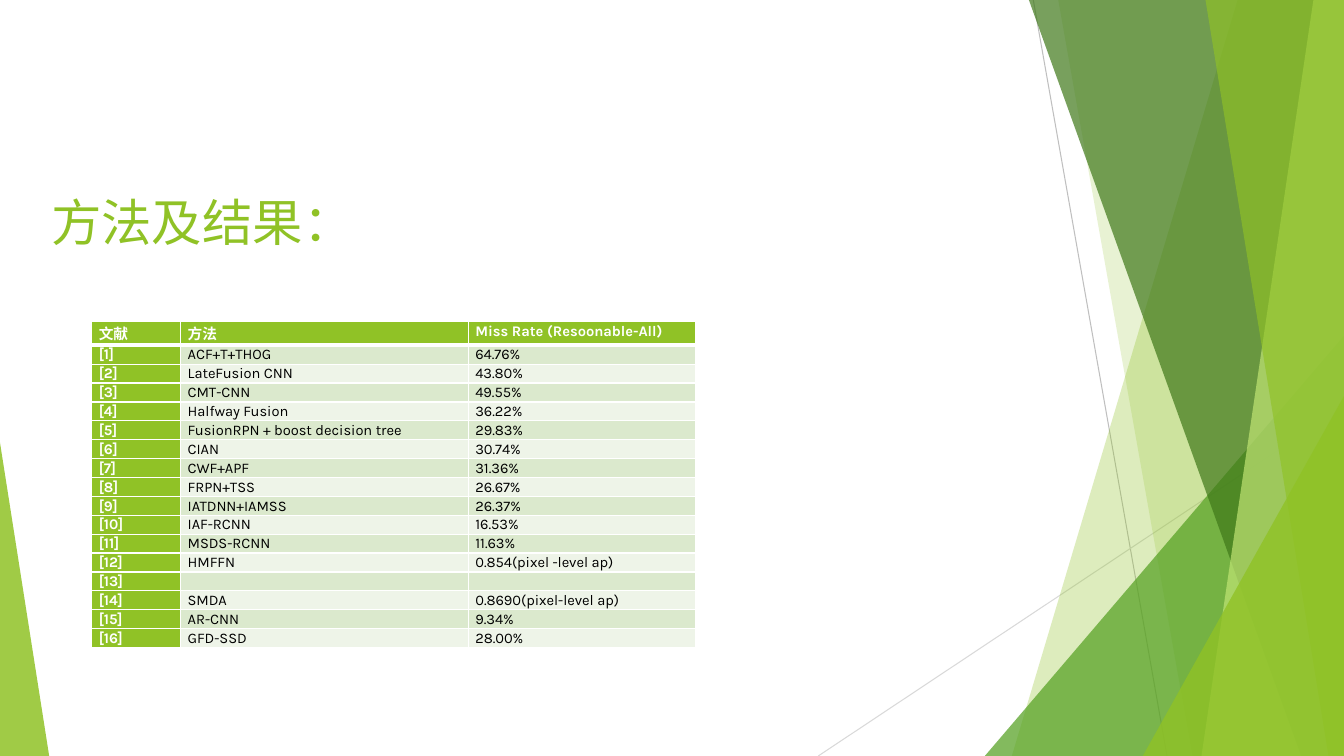
from lxml import etree
from pptx import Presentation
from pptx.dml.color import RGBColor
from pptx.enum import shapes, text
from pptx.oxml import ns
from pptx.util import Cm, Pt

WIDTH, HEIGHT = 33.87, 19.05
LIME = "90C226"
WHITE = "FFFFFF"
COLUMNS = [2.24, 7.25, 5.74]
HEADER_HEIGHT, RESULT_HEIGHT = 0.6, 0.46
HEADER = ["文献", "方法", "Miss Rate (Resoonable-All)"]
RESULTS = [
    ("ACF+T+THOG", "64.76%"),
    ("LateFusion CNN", "43.80%"),
    ("CMT-CNN", "49.55%"),
    ("Halfway Fusion", "36.22%"),
    ("FusionRPN + boost decision tree", "29.83%"),
    ("CIAN", "30.74%"),
    ("CWF+APF", "31.36%"),
    ("FRPN+TSS", "26.67%"),
    ("IATDNN+IAMSS", "26.37%"),
    ("IAF-RCNN", "16.53%"),
    ("MSDS-RCNN", "11.63%"),
    ("HMFFN", "0.854(pixel -level ap)"),
    ("", ""),
    ("SMDA", "0.8690(pixel-level ap)"),
    ("AR-CNN", "9.34%"),
    ("GFD-SSD", "28.00%"),
]


def rgb(value):
    return RGBColor.from_string(value)


def add_child(parent, tag, **attributes):
    return etree.SubElement(parent, ns.qn(tag), **attributes)


def paint(shape, color, opacity):
    shape.shadow.inherit = False
    shape.line.fill.background()
    shape.fill.solid()
    shape.fill.fore_color.rgb = rgb(color)
    srgb = shape.fill._xPr.find(".//" + ns.qn("a:srgbClr"))
    add_child(srgb, "a:alpha", val=str(opacity * 1000))


def add_ray(slide, start, end, color):
    ray = slide.shapes.add_connector(
        shapes.MSO_CONNECTOR.STRAIGHT,
        Cm(start[0]), Cm(start[1]), Cm(end[0]), Cm(end[1]))
    ray.line.color.rgb = rgb(color)
    ray.line.width = Pt(0.75)
    add_child(ray._element.spPr, "a:effectLst")


def add_band(slide, top_x, bottom_x, color, opacity):
    outline = slide.shapes.build_freeform(Cm(top_x), 0)
    outline.add_line_segments(
        [(Cm(x), Cm(y)) for x, y in
         ((WIDTH, 0), (WIDTH, HEIGHT), (bottom_x, HEIGHT))], close=True)
    paint(outline.convert_to_shape(), color, opacity)


def add_corner(slide, left, right, top, apex, color, opacity):
    corner = slide.shapes.add_shape(
        shapes.MSO_SHAPE.ISOSCELES_TRIANGLE,
        Cm(left), Cm(top), Cm(right - left), Cm(HEIGHT - top))
    corner.adjustments[0] = apex
    paint(corner, color, opacity)


def add_run(paragraph, words, size, font, color, bold=False):
    run = paragraph.add_run()
    run.text = words
    run.font.size = Pt(size)
    run.font.name = font
    run.font.bold = bold
    run.font.color.rgb = rgb(color)


def add_title(slide):
    title = slide.shapes.add_textbox(Cm(1.04), Cm(4.7), Cm(23.88), Cm(3.66))
    frame = title.text_frame
    frame.word_wrap = True
    frame.vertical_anchor = text.MSO_ANCHOR.TOP
    add_run(frame.paragraphs[0], "方法及结果：", 36, "Calibri", LIME)


def add_borders(cell, top, bottom):
    properties = cell._tc.get_or_add_tcPr()
    for side, points in (("L", 1), ("R", 1), ("T", top), ("B", bottom)):
        border = add_child(properties, "a:ln" + side, w=str(Pt(points)))
        fill = add_child(border, "a:solidFill")
        add_child(fill, "a:srgbClr", val=WHITE)


def fill_cell(cell, words, row, column):
    accent = row == 0 or column == 0
    add_borders(cell, 3 if row == 1 else 1, 3 if row == 0 else 1)
    cell.fill.solid()
    band = "DBE9CD" if row % 2 else "EEF4E8"
    cell.fill.fore_color.rgb = rgb(LIME if accent else band)
    cell.margin_left = cell.margin_right = Cm(0.18)
    cell.margin_top = cell.margin_bottom = 0
    paragraph = cell.text_frame.paragraphs[0]
    paragraph.line_spacing = 1.07
    if words:
        add_run(paragraph, words, 10.5, "Karla", WHITE if accent else "000000", accent)
    else:
        ending = add_child(paragraph._p, "a:endParaRPr", sz="1050")
        add_child(ending, "a:latin", typeface="Karla")


def add_results(slide):
    rows = [HEADER] + [
        [f"[{number}]", *result] for number, result in enumerate(RESULTS, 1)]
    heights = [HEADER_HEIGHT] + [RESULT_HEIGHT] * len(RESULTS)
    results = slide.shapes.add_table(
        len(rows), len(COLUMNS), Cm(2.31), Cm(8.1),
        Cm(sum(COLUMNS)), Cm(sum(heights))).table
    for column, width in zip(results.columns, COLUMNS):
        column.width = Cm(width)
    for r, row in enumerate(rows):
        results.rows[r].height = Cm(heights[r])
        for c, words in enumerate(row):
            fill_cell(results.cell(r, c), words, r, c)


def add_backdrop(slide):
    add_ray(slide, (26.04, 0), (29.41, HEIGHT), "BFBFBF")
    add_ray(slide, (WIDTH, 10.24), (20.62, HEIGHT), "D9D9D9")
    add_band(slide, 31.19, 25.5, LIME, 30)
    add_band(slide, 26.67, 30.05, LIME, 20)
    add_corner(slide, 24.82, WIDTH, 8.46, 1, "54A021", 72)
    add_band(slide, 25.93, 32.79, "3F7819", 70)
    add_band(slide, 33.1, 30.28, "C0E474", 70)
    add_band(slide, 30.38, 33.48, LIME, 65)
    add_corner(slide, 28.8, WIDTH, 9.98, 1, LIME, 80)
    add_corner(slide, 0, 1.24, 11.15, 0, LIME, 85)


def main():
    deck = Presentation()
    deck.slide_width, deck.slide_height = Cm(WIDTH), Cm(HEIGHT)
    slide = deck.slides.add_slide(deck.slide_layouts[6])
    add_backdrop(slide)
    add_title(slide)
    add_results(slide)
    deck.save("out.pptx")


if __name__ == "__main__":
    main()
